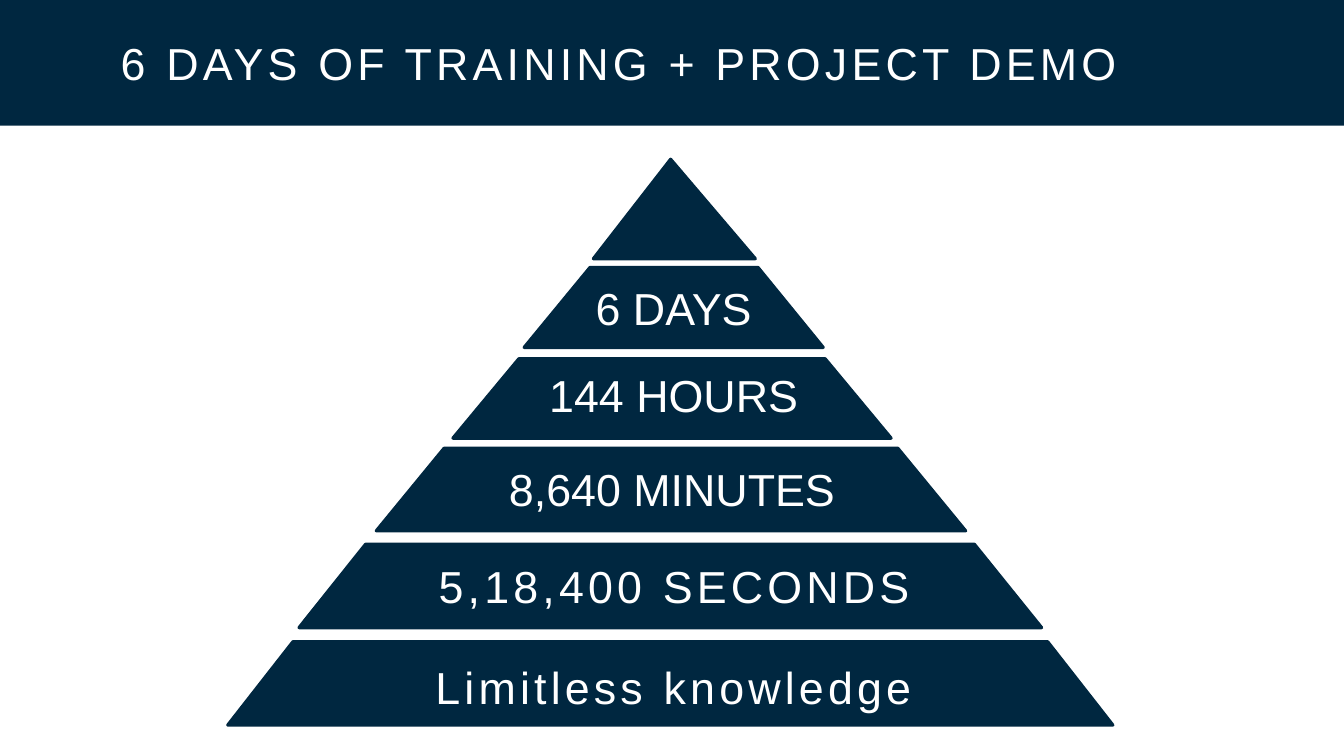
"""Build the training pyramid slide."""
import dataclasses

import lxml.etree
import pptx
import pptx.dml.color
import pptx.enum.shapes
import pptx.enum.text
import pptx.oxml.ns
import pptx.util

Inches = pptx.util.Inches
Pt = pptx.util.Pt


@dataclasses.dataclass(frozen=True)
class Theme:
    navy: pptx.dml.color.RGBColor = pptx.dml.color.RGBColor(0x00, 0x27, 0x40)
    white: pptx.dml.color.RGBColor = pptx.dml.color.RGBColor(0xFF, 0xFF, 0xFF)
    font: str = "Arial"
    size: float = 48
    edge: float = 3.5
    tight: float = 57.6
    loose: float = 63.4
    track: float = 4.5


class Deck:
    """Hold the style and the current slide."""

    def __init__(self, theme, slide):
        self.theme = theme
        self.slide = slide

    def paint(self, shape):
        shape.shadow.inherit = False
        shape.fill.solid()
        shape.fill.fore_color.rgb = self.theme.navy

    def banner(self, width, height):
        kind = pptx.enum.shapes.MSO_SHAPE.RECTANGLE
        shape = self.slide.shapes.add_shape(kind, 0, 0, Inches(width), Inches(height))
        self.paint(shape)
        shape.line.fill.background()

    def tier(self, points):
        spots = [(Inches(x), Inches(y)) for x, y in points]
        pen = self.slide.shapes.build_freeform(*spots[0])
        pen.add_line_segments(spots[1:], close=True)
        shape = pen.convert_to_shape()
        self.paint(shape)
        shape.line.width = Pt(self.theme.edge)
        shape.line.fill.solid()
        shape.line.fill.fore_color.rgb = self.theme.navy
        line = shape._element.spPr.find(pptx.oxml.ns.qn("a:ln"))
        lxml.etree.SubElement(line, pptx.oxml.ns.qn("a:round"))

    def letter(self, shape, text, spread):
        frame = shape.text_frame
        frame.text = text
        frame.word_wrap = True
        frame.auto_size = pptx.enum.text.MSO_AUTO_SIZE.NONE
        frame.vertical_anchor = pptx.enum.text.MSO_ANCHOR.TOP
        frame.margin_left = frame.margin_right = 0
        frame.margin_top = frame.margin_bottom = 0
        line = frame.paragraphs[0]
        line.alignment = pptx.enum.text.PP_ALIGN.CENTER
        line.line_spacing = Pt(self.theme.loose if spread else self.theme.tight)
        run = line.runs[0]
        run.font.name = self.theme.font
        run.font.size = Pt(self.theme.size)
        run.font.color.rgb = self.theme.white
        if spread:
            run._r.get_or_add_rPr().set("spc", str(round(self.theme.track * 100)))

    def title(self, text, left, top, width, height):
        shape = self.slide.shapes.title
        shape.left, shape.top = Inches(left), Inches(top)
        shape.width, shape.height = Inches(width), Inches(height)
        self.letter(shape, text, True)
        self.slide.shapes._spTree.append(shape._element)

    def label(self, text, left, top, width, height, spread):
        box = self.slide.shapes.add_textbox(
            Inches(left), Inches(top), Inches(width), Inches(height))
        self.letter(box, text, spread)


def main():
    show = pptx.Presentation()
    show.slide_width, show.slide_height = Inches(20), Inches(11.25)
    deck = Deck(Theme(), show.slides.add_slide(show.slide_layouts[5]))
    deck.banner(20, 1.87)
    deck.title("6 DAYS OF TRAINING + PROJECT DEMO ", 0, 0.45, 18.68, 0.88)

    deck.tier([(8.83, 3.85), (9.98, 2.37), (11.24, 3.85)])
    tiers = [
        (3.98, 5.17, 8.78, 11.28, 7.8, 12.25),
        (5.34, 6.52, 7.72, 12.28, 6.74, 13.26),
        (6.67, 7.9, 6.61, 13.36, 5.6, 14.37),
        (8.1, 9.34, 5.44, 14.5, 4.45, 15.5),
        (9.55, 10.79, 4.36, 15.59, 3.39, 16.56),
    ]
    for top, base, left, right, start, end in tiers:
        deck.tier([(start, base), (left, top), (right, top), (end, base)])

    labels = [
        ("6 DAYS", 8.31, 4.18, 3.43, 0.81, False),
        ("144 HOURS", 7.9, 5.47, 4.25, 0.81, False),
        ("8,640 MINUTES", 6.84, 6.87, 6.32, 0.81, False),
        ("5,18,400 SECONDS", 2.69, 8.24, 14.69, 0.88, True),
        ("Limitless knowledge", 2.68, 9.73, 14.69, 0.88, True),
    ]
    for label in labels:
        deck.label(*label)
    show.save("out.pptx")


if __name__ == "__main__":
    main()
